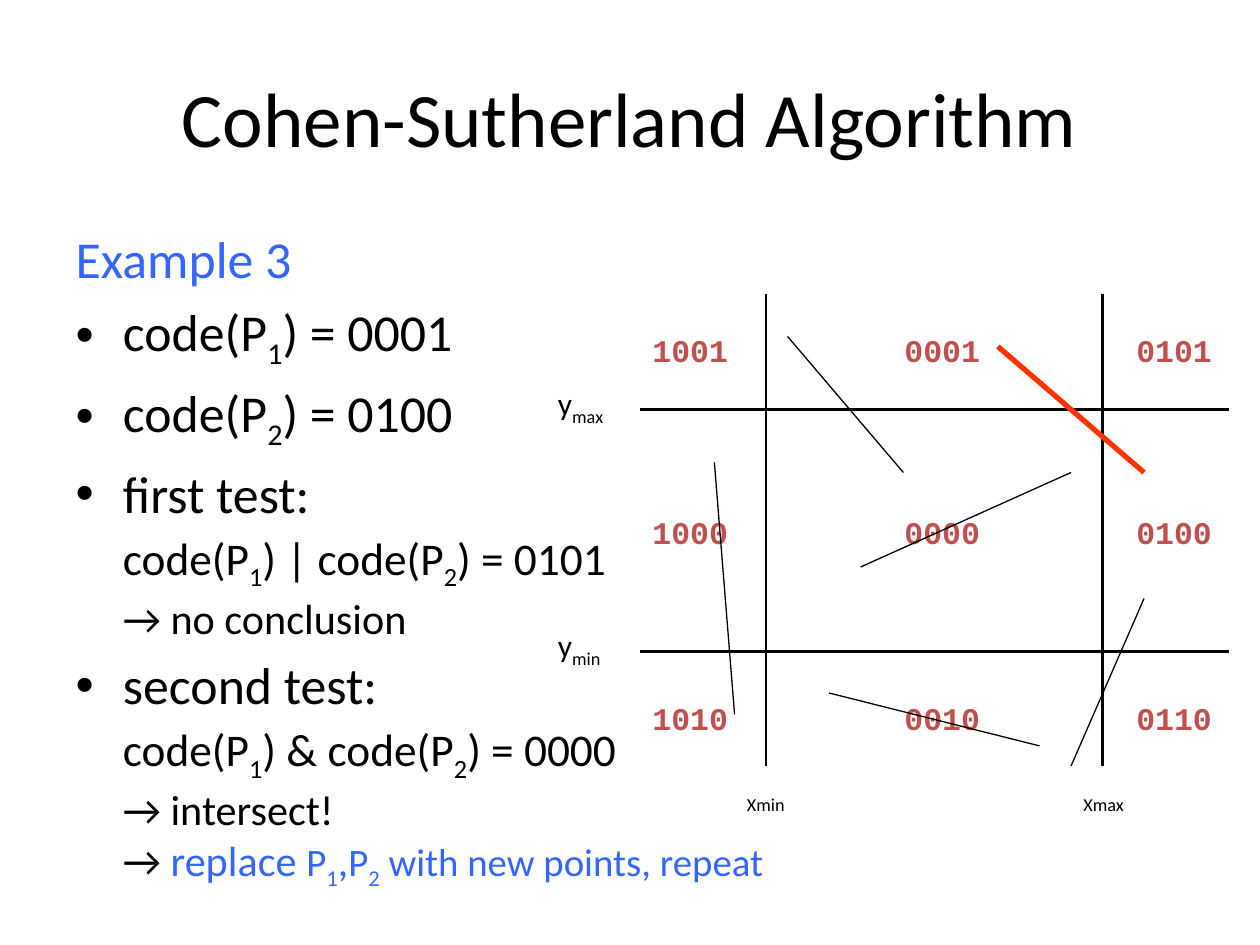
from lxml.etree import SubElement
from pptx import Presentation
from pptx.dml.color import RGBColor
from pptx.enum.shapes import MSO_CONNECTOR
from pptx.enum.text import MSO_ANCHOR, MSO_AUTO_SIZE, PP_ALIGN
from pptx.oxml.ns import qn
from pptx.util import Inches, Pt

BLACK, BLUE, RED, ORANGE = "000000", "3366FF", "C0504D", "FF3300"
LARGE, EQUATION, RESULT, SMALL = 29.6, 25.9, 24.1, 22.2


def color(value):
    """Turn a hex string into a colour."""
    return RGBColor.from_string(value)


class SlideBuilder:
    """Hold the text style and the current slide."""

    def __init__(self, slide, font="Calibri"):
        self.slide = slide
        self.font = font

    def place(self, shape, left, top, width, height):
        """Set the position and size of a shape."""
        shape.left, shape.top = Inches(left), Inches(top)
        shape.width, shape.height = Inches(width), Inches(height)

    def add_run(self, paragraph, text, size, fill=BLACK, font=None, bold=False, subscript=False):
        """Add one formatted run."""
        run = paragraph.add_run()
        run.text = text
        run.font.size = Pt(size)
        run.font.name = font or self.font
        run.font.bold = bold
        run.font.color.rgb = color(fill)
        if subscript:
            run.font._element.set("baseline", "-25000")

    def line_break(self, paragraph, size):
        """Add a line break of the given text size."""
        paragraph.add_line_break()
        properties = SubElement(paragraph._p[-1], qn("a:rPr"))
        properties.set("sz", str(round(size * 100)))

    def add_text(self, paragraph, text, size, **style):
        """Add text in which underscores enclose subscripts and newlines break lines."""
        for row, line in enumerate(text.split("\n")):
            if row:
                self.line_break(paragraph, size)
            for index, part in enumerate(line.split("_")):
                if part:
                    self.add_run(paragraph, part, size, subscript=index % 2 == 1, **style)

    def title(self, text):
        """Fill the title placeholder."""
        shape = self.slide.shapes.title
        self.place(shape, 0.5, 0.3, 9, 1.25)
        frame = shape.text_frame
        frame.vertical_anchor = MSO_ANCHOR.MIDDLE
        frame.paragraphs[0].alignment = PP_ALIGN.CENTER
        self.add_text(frame.paragraphs[0], text, 44)

    def body(self, heading, items):
        """Fill the body placeholder with a plain heading and bulleted items."""
        shape = self.slide.placeholders[1]
        self.place(shape, 0.5, 1.75, 9, 4.95)
        frame = shape.text_frame
        frame.auto_size = MSO_AUTO_SIZE.NONE
        paragraph = frame.paragraphs[0]
        SubElement(paragraph._p.get_or_add_pPr(), qn("a:buNone"))
        self.add_text(paragraph, heading, LARGE, fill=BLUE)
        for pieces in items:
            paragraph = frame.add_paragraph()
            for text, size, fill in pieces:
                self.add_text(paragraph, text, size, fill=fill)

    def label(self, text, left, top, width, wrap=True, **style):
        """Add a text label."""
        shape = self.slide.shapes.add_textbox(
            Inches(left), Inches(top), Inches(width), Inches(0.4))
        frame = shape.text_frame
        frame.word_wrap = wrap
        frame.auto_size = MSO_AUTO_SIZE.SHAPE_TO_FIT_TEXT
        self.add_text(frame.paragraphs[0], text, 18, **style)

    def line(self, start, end, width=0.75, fill=BLACK):
        """Add a straight line."""
        connector = self.slide.shapes.add_connector(
            MSO_CONNECTOR.STRAIGHT, *map(Inches, start + end))
        connector.line.width = Pt(width)
        connector.line.color.rgb = color(fill)
        SubElement(connector._element.spPr, qn("a:effectLst"))


presentation = Presentation()
presentation.slide_width, presentation.slide_height = Inches(10), Inches(7.5)
builder = SlideBuilder(presentation.slides.add_slide(presentation.slide_layouts[1]))

builder.title("Cohen-Sutherland Algorithm")


def test_item(name, operator, value, result):
    """List the pieces of a test with its equation and result."""
    return [
        (f"{name} test:\n", LARGE, BLACK),
        (f"code(P_1_) {operator} code(P_2_) = {value}", EQUATION, BLACK),
        (" \n", LARGE, BLACK),
        (result, RESULT, BLACK),
    ]


builder.body("Example 3", [
    [("code(P_1_) = 0001", LARGE, BLACK)],
    [("code(P_2_) = 0100", LARGE, BLACK)],
    test_item("first", "|", "0101", "→ no conclusion"),
    test_item("second", "&", "0000", "→ intersect!\n→ ") + [
        ("replace ", RESULT, BLUE),
        ("P_1_", SMALL, BLUE),
        (",", RESULT, BLUE),
        ("P_2_ with new points, repeat", SMALL, BLUE),
    ],
])

for y in (5.17, 3.25):
    builder.line((5.08, y), (9.75, y), 1.5)
for x in (6.08, 8.75):
    builder.line((x, 2.33), (x, 6.08), 1.5)

code_columns = (5.08, 7.08, 8.92)
code_rows = {
    2.58: ("1001", "0001", "0101"),
    4.02: ("1000", "0000", "0100"),
    5.5: ("1010", "0010", "0110"),
}
for top, codes in code_rows.items():
    for left, code in zip(code_columns, codes):
        builder.label(code, left, top, 0.8, wrap=False,
                      fill=RED, font="Courier New", bold=True)

segments = [
    ((8.5, 6.08), (9.08, 4.75)),
    ((6.58, 5.5), (8.25, 5.92)),
    ((5.67, 3.67), (5.83, 5.67)),
    ((6.83, 4.5), (8.5, 3.75)),
    ((6.25, 2.67), (7.17, 3.75)),
]
for start, end in segments:
    builder.line(start, end)
builder.line((7.92, 2.75), (9.08, 3.75), 3, ORANGE)

for text, left, top in (
    ("y_max_", 4.33, 3),
    ("y_min_", 4.33, 4.92),
    ("_Xmax_", 8.5, 6.08),
    ("_Xmin_", 5.83, 6.08),
):
    builder.label(text, left, top, 0.67)

presentation.save("out.pptx")
